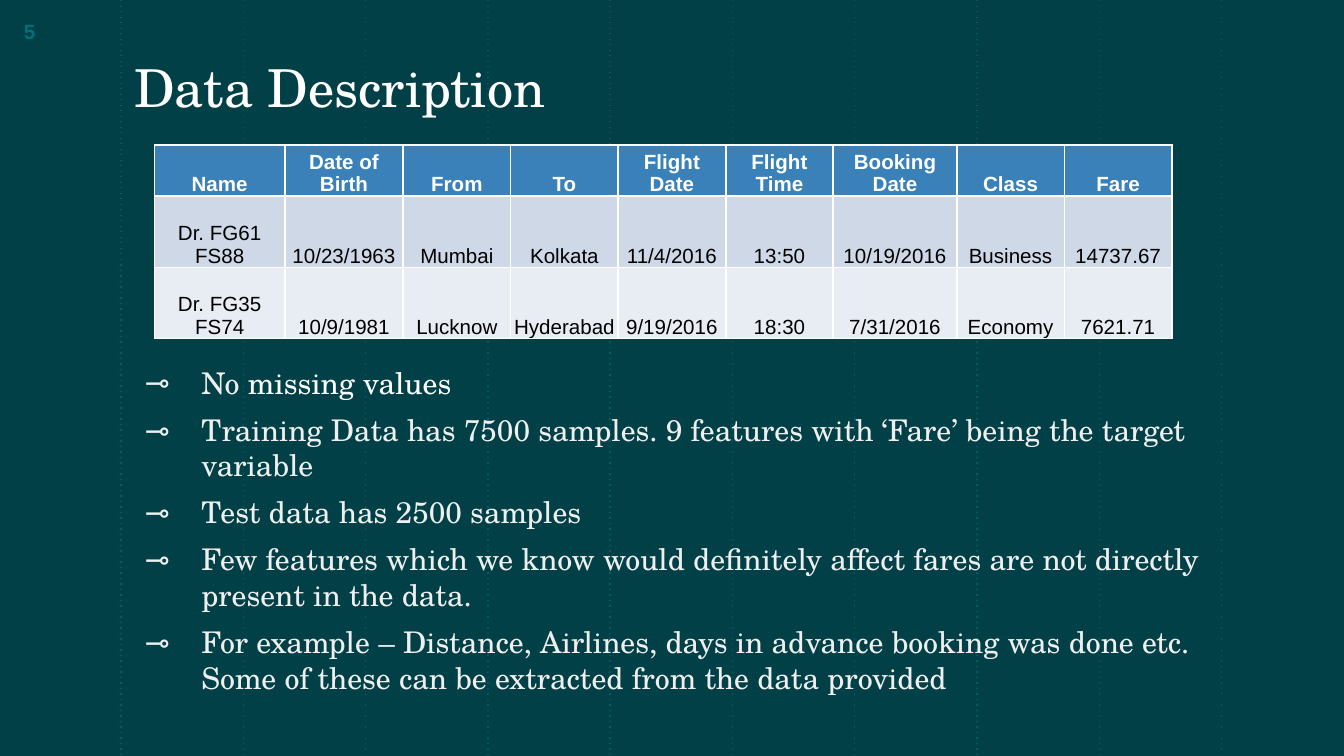
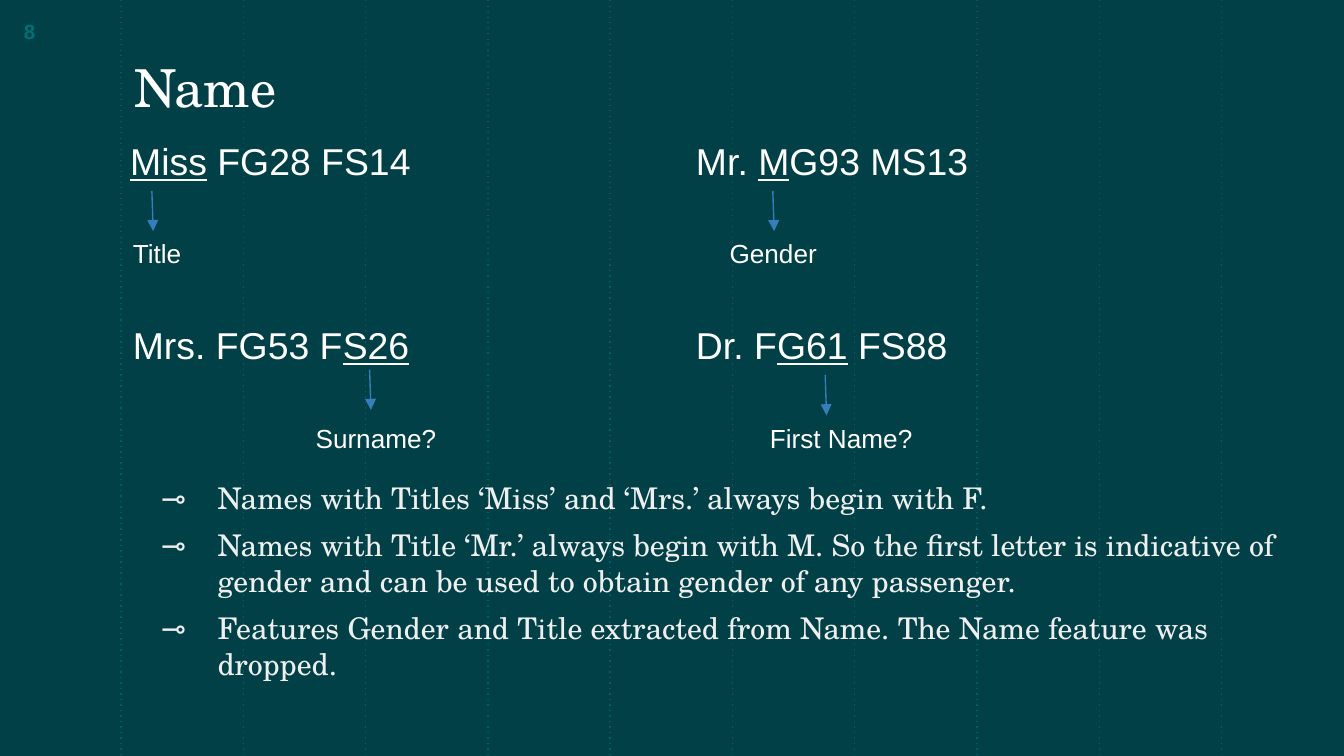
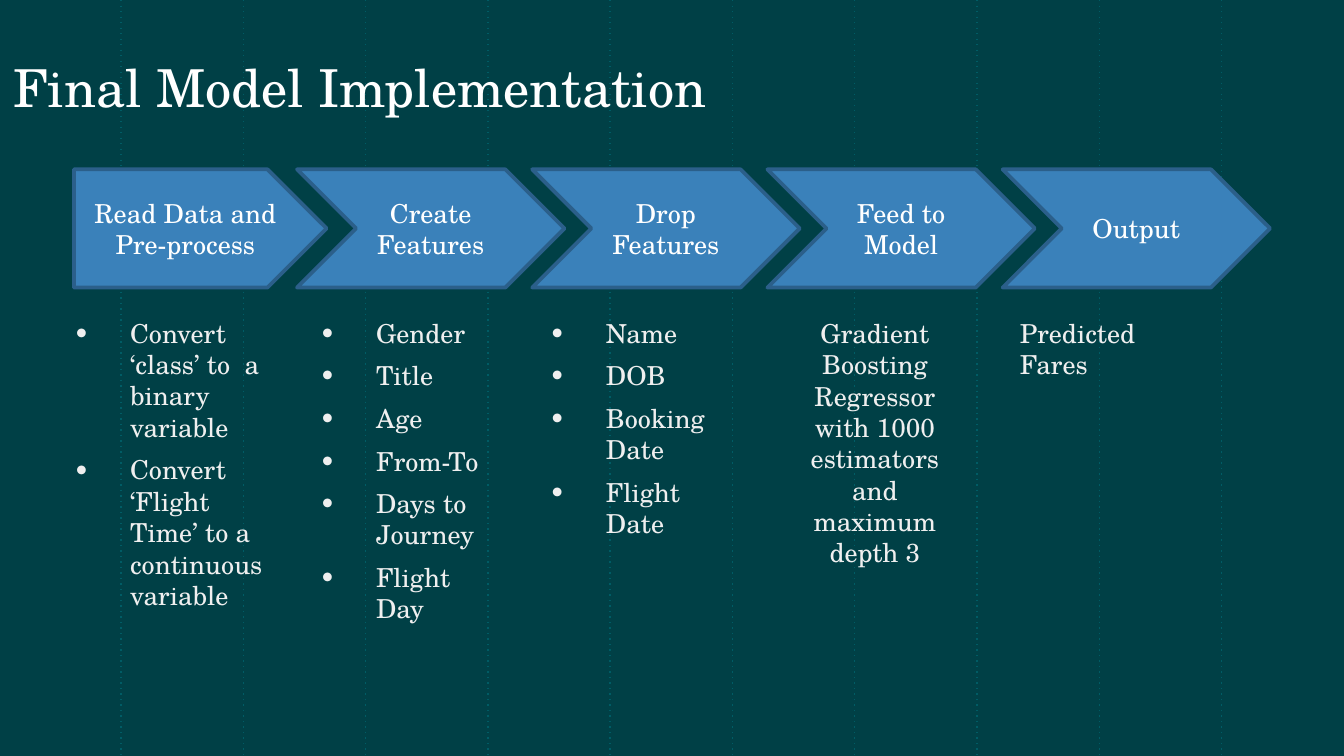
from lxml import etree
from pptx import Presentation
from pptx import util as u
from pptx.dml.color import RGBColor
from pptx.enum import shapes, text
from pptx.oxml.ns import qn

COLORS = {
    "background": "004046", "guide": "005C65", "number": "007078",
    "white": "FFFFFF", "body": "EFEFEF", "black": "000000",
    "blue": "3A81BA", "outline": "2B5F8A", "arrow": "367EB9",
    "odd_row": "CED8E7", "even_row": "E8EDF3",
}
SERIF, SANS = "TeX Gyre Schola", "Arial"
CENTER = text.PP_ALIGN.CENTER


def fill_text(frame, lines, size, font=SERIF, color="white", align=None,
              bold=False, inset=None, bullet=None, indent=None):
    frame.word_wrap = True
    if inset is not None:
        frame.margin_left = frame.margin_right = u.Inches(inset)
        frame.margin_top = frame.margin_bottom = u.Inches(inset)
    frame.text = "\n".join(lines)
    for para in frame.paragraphs:
        parts = para.text.split("_")
        para.text = parts[0]
        for part in parts[1:]:
            para.add_run().text = part
        para.alignment = align
        marked = 1 if parts[0] else 0
        for position, span in enumerate(para.runs):
            span.font.size = u.Pt(size)
            span.font.name = font
            span.font.bold = bold
            span.font.color.rgb = RGBColor.from_string(COLORS[color])
            if len(parts) > 1:
                span.font.underline = position == marked
        if indent:
            para.space_before = u.Pt(6)
            properties = para._p.get_or_add_pPr()
            properties.set("marL", str(u.Inches(indent[0])))
            properties.set("indent", str(u.Inches(indent[1])))
            if bullet:
                tint = etree.SubElement(properties, qn("a:buClr"))
                etree.SubElement(tint, qn("a:srgbClr"), val=COLORS["body"])
                etree.SubElement(properties, qn("a:buFont"), typeface=SERIF)
                etree.SubElement(properties, qn("a:buChar"), char=bullet)


def draw_line(page, start, end, color, ending, value):
    line = page.shapes.add_connector(
        shapes.MSO_CONNECTOR.STRAIGHT,
        *[u.Inches(length) for length in (*start, *end)])
    line.line.color.rgb = RGBColor.from_string(COLORS[color])
    line.line.width = u.Pt(0.75)
    properties = line._element.spPr
    etree.SubElement(properties.find(qn("a:ln")), qn(ending)).attrib.update(value)
    etree.SubElement(properties, qn("a:effectLst"))


deck = Presentation()
deck.slide_width, deck.slide_height = u.Inches(10), u.Inches(5.625)

pages = []
for title, left, number in [("Data Description", 0.9, "5"), ("Name", 0.9, "8"),
                            ("Final Model Implementation", 0, None)]:
    page = deck.slides.add_slide(deck.slide_layouts[6])
    page.background.fill.solid()
    page.background.fill.fore_color.rgb = RGBColor.from_string(COLORS["background"])
    for column in range(10):
        x = 0.9 + 0.91 * column
        draw_line(page, (x, 0), (x, 5.63), "guide", "a:prstDash", {"val": "dot"})
    box = page.shapes.add_textbox(u.Inches(left), u.Inches(0.2),
                                  u.Inches(5.65), u.Inches(0.78))
    fill_text(box.text_frame, [title], 28, inset=0.1)
    box.text_frame.vertical_anchor = text.MSO_ANCHOR.BOTTOM
    if number:
        box = page.shapes.add_textbox(u.Inches(0.08), u.Inches(0.03),
                                      u.Inches(0.6), u.Inches(0.4))
        fill_text(box.text_frame, [number], 11, SANS, "number", bold=True, inset=0.1)
        box.text_frame.vertical_anchor = text.MSO_ANCHOR.MIDDLE
    pages.append(page)

data_page, name_page, model_page = pages

rows = [
    ["Name", "Date of Birth", "From", "To", "Flight Date", "Flight Time",
     "Booking Date", "Class", "Fare"],
    ["Dr. FG61 FS88", "10/23/1963", "Mumbai", "Kolkata", "11/4/2016", "13:50",
     "10/19/2016", "Business", "14737.67"],
    ["Dr. FG35 FS74", "10/9/1981", "Lucknow", "Hyderabad", "9/19/2016", "18:30",
     "7/31/2016", "Economy", "7621.71"],
]
widths = [0.97, 0.88, 0.8, 0.8, 0.8, 0.8, 0.92, 0.8, 0.8]
heights = [0.38, 0.53, 0.53]
table = data_page.shapes.add_table(
    len(rows), len(widths), u.Inches(1.15), u.Inches(1.08),
    u.Inches(sum(widths)), u.Inches(sum(heights))).table
table.first_row = table.horz_banding = False
for column, width in enumerate(widths):
    table.columns[column].width = u.Inches(width)
for row, values in enumerate(rows):
    table.rows[row].height = u.Inches(heights[row])
    header = row == 0
    for column, value in enumerate(values):
        cell = table.cell(row, column)
        fill_text(cell.text_frame, [value], 11, SANS,
                  "white" if header else "black", CENTER, header)
        cell.vertical_anchor = text.MSO_ANCHOR.BOTTOM
        cell.margin_left = cell.margin_right = cell.margin_top = u.Inches(0.01)
        cell.margin_bottom = 0
        for side in "LRTB":
            border = etree.SubElement(cell._tc.get_or_add_tcPr(), qn("a:ln" + side),
                                      w=str(u.Pt(1)))
            paint = etree.SubElement(border, qn("a:solidFill"))
            etree.SubElement(paint, qn("a:srgbClr"), val=COLORS["white"])
        cell.fill.solid()
        cell.fill.fore_color.rgb = RGBColor.from_string(
            COLORS[("blue", "odd_row", "even_row")[row]])

data_notes = [
    "No missing values",
    "Training Data has 7500 samples. 9 features with ‘Fare’ being the target variable",
    "Test data has 2500 samples",
    "Few features which we know would definitely affect fares are not directly "
    "present in the data.",
    "For example – Distance, Airlines, days in advance booking was done etc. "
    "Some of these can be extracted from the data provided",
]
name_notes = [
    "Names with Titles ‘Miss’ and ‘Mrs.’ always begin with F.",
    "Names with Title ‘Mr.’ always begin with M. So the first letter is indicative "
    "of gender and can be used to obtain gender of any passenger.",
    "Features Gender and Title extracted from Name. The Name feature was dropped.",
]
preparation = ["Convert ‘class’ to  a binary variable",
               "Convert ‘Flight Time’ to a continuous variable"]
created = ["Gender", "Title", "Age", "From-To", "Days to Journey", "Flight Day"]
dropped = ["Name", "DOB", "Booking Date", "Flight Date"]
model = ["Gradient Boosting Regressor with 1000 estimators and maximum depth 3"]

for page, place, lines, size, bullet, align in [
    (data_page, (0.9, 2.61, 8.61, 2.78), data_notes, 16, "⊸", None),
    (name_page, (1.02, 3.47, 8.62, 1.77), name_notes, 16, "⊸", None),
    (model_page, (0.37, 2.26, 1.7, 2.54), preparation, 14, "•", None),
    (model_page, (2.2, 2.26, 1.56, 2.54), created, 14, "•", None),
    (model_page, (3.91, 2.26, 1.62, 2.54), dropped, 14, "•", None),
    (model_page, (5.71, 2.26, 1.52, 2.35), model, 14, None, CENTER),
    (model_page, (7.41, 2.26, 1.52, 2.35), ["Predicted Fares"], 14, None, None),
]:
    box = page.shapes.add_textbox(*[u.Inches(length) for length in place])
    fill_text(box.text_frame, lines, size, color="body", align=align, inset=0.1,
              bullet=bullet, indent=(0.5, -0.42) if bullet else (0.08, 0))
    if lines is data_notes:
        para = box.text_frame.paragraphs[0]
        para.runs[0].text = "No "
        span = para.add_run()
        span.text = "missing values"
        span.font.size, span.font.name = u.Pt(size), SERIF
        span.font.color.rgb = RGBColor.from_string(COLORS["white"])

for sample, left, top, label, label_left, label_width, arrow_x, arrow_top in [
    ("_Miss_ FG28 FS14", 0.87, 0.98, "Title", 0.89, 0.81, 1.13, 1.42),
    ("Mr. _M_G93 MS13", 5.08, 0.98, "Gender", 5.33, 0.87, 5.75, 1.42),
    ("Mrs. FG53 F_S26", 0.89, 2.35, "Surname?", 2.25, 1.13, 2.75, 2.75),
    ("Dr. F_G61_ FS88", 5.08, 2.35, "First Name?", 5.63, 1.31, 6.14, 2.79),
]:
    for line, x, y, width, height, size in [
        (sample, left, top, 2.71, 0.44, 20),
        (label, label_left, top + 0.74, label_width, 0.34, 14),
    ]:
        box = name_page.shapes.add_textbox(u.Inches(x), u.Inches(y),
                                           u.Inches(width), u.Inches(height))
        fill_text(box.text_frame, [line], size, SANS)
    draw_line(name_page, (arrow_x, arrow_top), (arrow_x + 0.01, arrow_top + 0.3),
              "arrow", "a:tailEnd", {"type": "triangle"})

steps = [["Read Data and Pre-process"], ["Create", "Features"], ["Drop Features"],
         ["Feed to Model"], ["Output"]]
for position, lines in enumerate(steps):
    if position == 0:
        kind, left, width = shapes.MSO_SHAPE.PENTAGON, 0.55, 1.88
    else:
        kind, left, width = shapes.MSO_SHAPE.CHEVRON, 0.46 + 1.75 * position, 1.99
    step = model_page.shapes.add_shape(kind, u.Inches(left), u.Inches(1.26),
                                       u.Inches(width), u.Inches(0.88))
    step.shadow.inherit = False
    step.fill.solid()
    step.fill.fore_color.rgb = RGBColor.from_string(COLORS["blue"])
    step.line.color.rgb = RGBColor.from_string(COLORS["outline"])
    step.line.width = u.Pt(2)
    fill_text(step.text_frame, lines, 14, align=CENTER)
    step.text_frame.vertical_anchor = text.MSO_ANCHOR.MIDDLE

deck.save("out.pptx")
